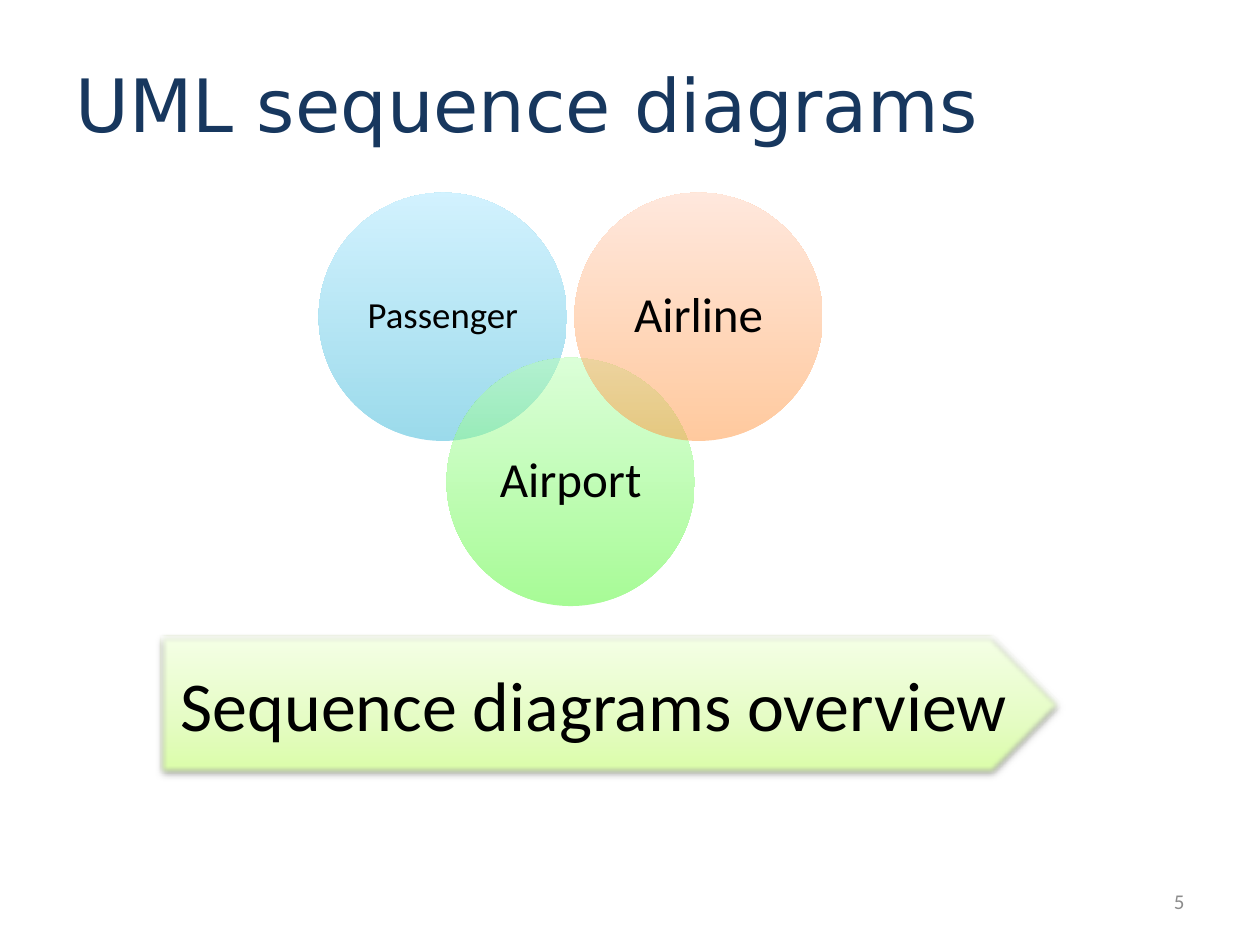
from dataclasses import dataclass

from lxml import etree
from pptx import Presentation
from pptx.dml.color import RGBColor
from pptx.enum.shapes import MSO_SHAPE as Shape
from pptx.enum.text import MSO_ANCHOR as Anchor, PP_ALIGN as Align
from pptx.oxml.ns import qn
from pptx.util import Inches, Pt


@dataclass(frozen=True)
class Theme:
    title_font: str = "DejaVu Sans"
    body_font: str = "Calibri"
    title: str = "17375E"
    text: str = "000000"
    muted: str = "8C8C8C"
    banner_line: str = "98B955"
    banner: tuple = ((0, "DAFDA7"), (35, "E4FCC2"), (100, "F5FFE7"))
    blue: tuple = ((0, "39B7D8"), (100, "A7E6FF"))
    green: tuple = ((0, "51F82F"), (100, "B9FFB2"))
    orange: tuple = ((0, "FF953E"), (100, "FFD2BD"))
    title_size: int = 42
    banner_size: int = 40
    circle_size: int = 28
    small_circle_size: int = 21
    number_size: int = 12


THEME = Theme()


def write(shape, text, size, color, font=THEME.body_font, align=Align.CENTER, inset=None):
    tf = shape.text_frame
    tf.word_wrap = True
    tf.vertical_anchor = Anchor.MIDDLE
    if inset is not None:
        tf.margin_left = tf.margin_right = tf.margin_top = tf.margin_bottom = Inches(inset)
    p = tf.paragraphs[0]
    p.text = text
    p.alignment = align
    p.font.name = font
    p.font.size = Pt(size)
    p.font.color.rgb = RGBColor.from_string(color)
    return p


def add_color(parent, color, alpha):
    clr = etree.SubElement(parent, qn("a:srgbClr"), val=color)
    if alpha < 100:
        etree.SubElement(clr, qn("a:alpha"), val=str(alpha * 1000))


def fill_gradient(shape, stops, alpha=100):
    shape.fill.gradient()
    shape.fill.gradient_angle = 90
    stop_list = shape._element.spPr.find(qn("a:gradFill")).find(qn("a:gsLst"))
    for stop in list(stop_list):
        stop_list.remove(stop)
    for position, color in stops:
        stop = etree.SubElement(stop_list, qn("a:gs"), pos=str(position * 1000))
        add_color(stop, color, alpha)


def add_soft_shadow(shape):
    effects = shape._element.spPr.find(qn("a:effectLst"))
    shadow = etree.SubElement(
        effects, qn("a:outerShdw"), blurRad=str(Pt(3.1)), dist=str(Pt(1.6)),
        dir="5400000", rotWithShape="0")
    add_color(shadow, THEME.text, 38)
    etree.SubElement(effects, qn("a:softEdge"), rad=str(Pt(2.5)))


def add_title(s, x, y, w, h, text):
    title = s.shapes.title
    title.left, title.top, title.width, title.height = map(Inches, (x, y, w, h))
    write(title, text, THEME.title_size, THEME.title, THEME.title_font, Align.LEFT)


def add_page_number(s, x, y, w, h, number):
    box = s.shapes.add_textbox(*map(Inches, (x, y, w, h)))
    write(box, str(number), THEME.number_size, THEME.muted, align=Align.RIGHT)


def add_banner(s, x, y, w, h, text):
    banner = s.shapes.add_shape(Shape.PENTAGON, *map(Inches, (x, y, w, h)))
    fill_gradient(banner, THEME.banner)
    banner.line.color.rgb = RGBColor.from_string(THEME.banner_line)
    banner.line.width = Pt(0.75)
    banner.shadow.inherit = False
    add_soft_shadow(banner)
    write(banner, text, THEME.banner_size, THEME.text)


def add_circles(s, x, y, w, h, diameter):
    circles = (
        ("Passenger", THEME.blue, THEME.small_circle_size, 0.09),
        ("Airport", THEME.green, THEME.circle_size, 0.12),
        ("Airline", THEME.orange, THEME.circle_size, 0.12),
    )
    group = s.shapes.add_group_shape()
    step = (w - diameter) / (len(circles) - 1)
    for i, (label, stops, size, inset) in enumerate(circles):
        top = y + (h - diameter) * (i % 2)
        circle = group.shapes.add_shape(
            Shape.OVAL, Inches(x + i * step), Inches(top), Inches(diameter), Inches(diameter))
        fill_gradient(circle, stops, alpha=50)
        circle.line.fill.background()
        circle.shadow.inherit = False
        p = write(circle, label, size, THEME.text, inset=inset)
        p.line_spacing = 0.9


def main():
    prs = Presentation()
    prs.slide_width, prs.slide_height = Inches(10), Inches(7.5)
    s = prs.slides.add_slide(prs.slide_layouts[5])
    add_title(s, 0.5, 0.19, 9.16, 1.25, "UML sequence diagrams")
    add_page_number(s, 8.73, 6.95, 0.77, 0.4, 5)
    add_banner(s, 1.27, 5.04, 7.16, 1.09, "Sequence diagrams overview")
    add_circles(s, 2.53, 1.53, 4, 3.28, 1.97)
    prs.save("out.pptx")


if __name__ == "__main__":
    main()
